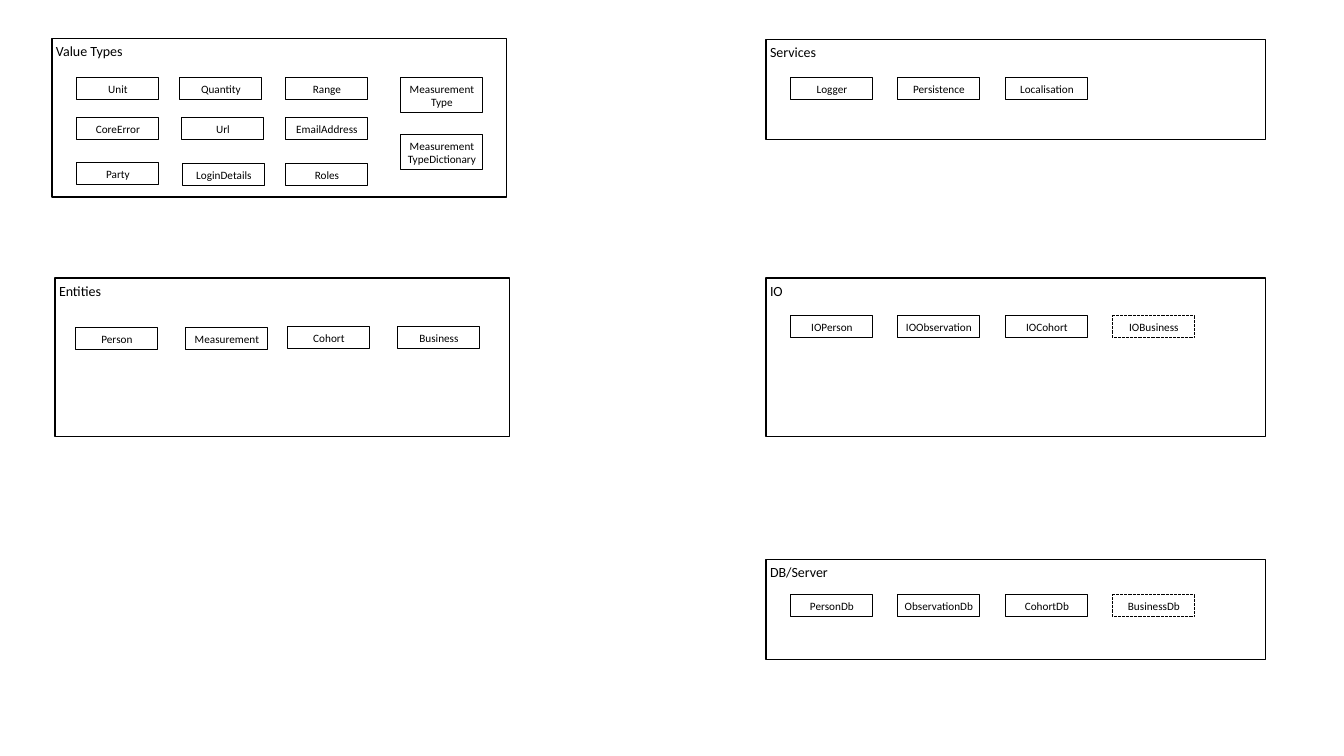
from dataclasses import dataclass

from pptx import Presentation
from pptx.dml.color import RGBColor
from pptx.enum.dml import MSO_LINE
from pptx.enum.shapes import MSO_SHAPE
from pptx.enum.text import MSO_ANCHOR, MSO_AUTO_SIZE, PP_ALIGN
from pptx.util import Pt

RECTANGLE = MSO_SHAPE.RECTANGLE
DASHED = MSO_LINE.SQUARE_DOT
TOP = MSO_ANCHOR.TOP
LEFT, CENTER = PP_ALIGN.LEFT, PP_ALIGN.CENTER
FIXED, GROW = MSO_AUTO_SIZE.NONE, MSO_AUTO_SIZE.SHAPE_TO_FIT_TEXT


@dataclass(frozen=True)
class Theme:
    font: str = "Calibri"
    ink: RGBColor = RGBColor(0, 0, 0)
    group_size: Pt = Pt(10)
    item_size: Pt = Pt(8)
    line_width: Pt = Pt(0.75)


THEME = Theme()

GROUPS = [
    ("Value Types", (52, 38, 455, 159)),
    ("Entities", (55, 278, 455, 159)),
    ("Services", (766, 40, 500, 100)),
    ("IO", (766, 278, 500, 159)),
    ("DB/Server", (766, 560, 500, 100)),
]

LEFT_ITEMS = [
    ("Unit", 77, 78), ("Quantity", 180, 78), ("Range", 286, 78),
    ("CoreError", 77, 118), ("Url", 182, 118), ("EmailAddress", 286, 118),
    ("Party", 77, 163), ("LoginDetails", 183, 164), ("Roles", 286, 164),
    ("Measurement\nType", 401, 78), ("Measurement TypeDictionary", 401, 135),
    ("Person", 76, 328), ("Measurement", 186, 328),
    ("Cohort", 288, 327), ("Business", 398, 327),
]

RIGHT_ROWS = [
    (78, ["Logger", "Persistence", "Localisation"]),
    (316, ["IOPerson", "IOObservation", "IOCohort", "IOBusiness"]),
    (595, ["PersonDb", "ObservationDb", "CohortDb", "BusinessDb"]),
]
DASHED_ITEMS = {"IOBusiness", "BusinessDb"}
TWO_LINE_ITEMS = {"Measurement\nType", "Measurement TypeDictionary"}

EMU_PER_PIXEL = 914400 / 100.8
SLIDE_WIDTH, SLIDE_HEIGHT = 1344, 756
INSET = 4
ITEM_WIDTH, ITEM_HEIGHT, TALL_ITEM_HEIGHT = 82, 22, 35
RIGHT_START, RIGHT_SPAN = 791, 322
BLANK_LAYOUT = 6


def emu(pixels):
    return round(pixels * EMU_PER_PIXEL)


def add_box(slide, label, bounds, size, alignment, auto_size):
    shape = slide.shapes.add_shape(RECTANGLE, *map(emu, bounds))
    shape.shadow.inherit = False
    shape.fill.background()
    shape.line.color.rgb = THEME.ink
    shape.line.width = THEME.line_width
    if label in DASHED_ITEMS:
        shape.line.dash_style = DASHED
    frame = shape.text_frame
    frame.word_wrap = True
    frame.auto_size = auto_size
    frame.vertical_anchor = TOP
    frame.margin_left = frame.margin_right = emu(INSET)
    frame.margin_top = frame.margin_bottom = emu(INSET)
    for index, text in enumerate(label.split("\n")):
        paragraph = frame.add_paragraph() if index else frame.paragraphs[0]
        paragraph.alignment = alignment
        run = paragraph.add_run()
        run.text = text
        run.font.name = THEME.font
        run.font.size = size
        run.font.color.rgb = THEME.ink


presentation = Presentation()
presentation.slide_width = emu(SLIDE_WIDTH)
presentation.slide_height = emu(SLIDE_HEIGHT)
slide = presentation.slides.add_slide(presentation.slide_layouts[BLANK_LAYOUT])

for title, bounds in GROUPS:
    add_box(slide, title, bounds, THEME.group_size, LEFT, FIXED)

right_items = [
    (label, RIGHT_START + round(column * RIGHT_SPAN / 3), top)
    for top, labels in RIGHT_ROWS
    for column, label in enumerate(labels)
]
for label, left, top in LEFT_ITEMS + right_items:
    height = TALL_ITEM_HEIGHT if label in TWO_LINE_ITEMS else ITEM_HEIGHT
    bounds = (left, top, ITEM_WIDTH, height)
    add_box(slide, label, bounds, THEME.item_size, CENTER, GROW)

presentation.save("out.pptx")
